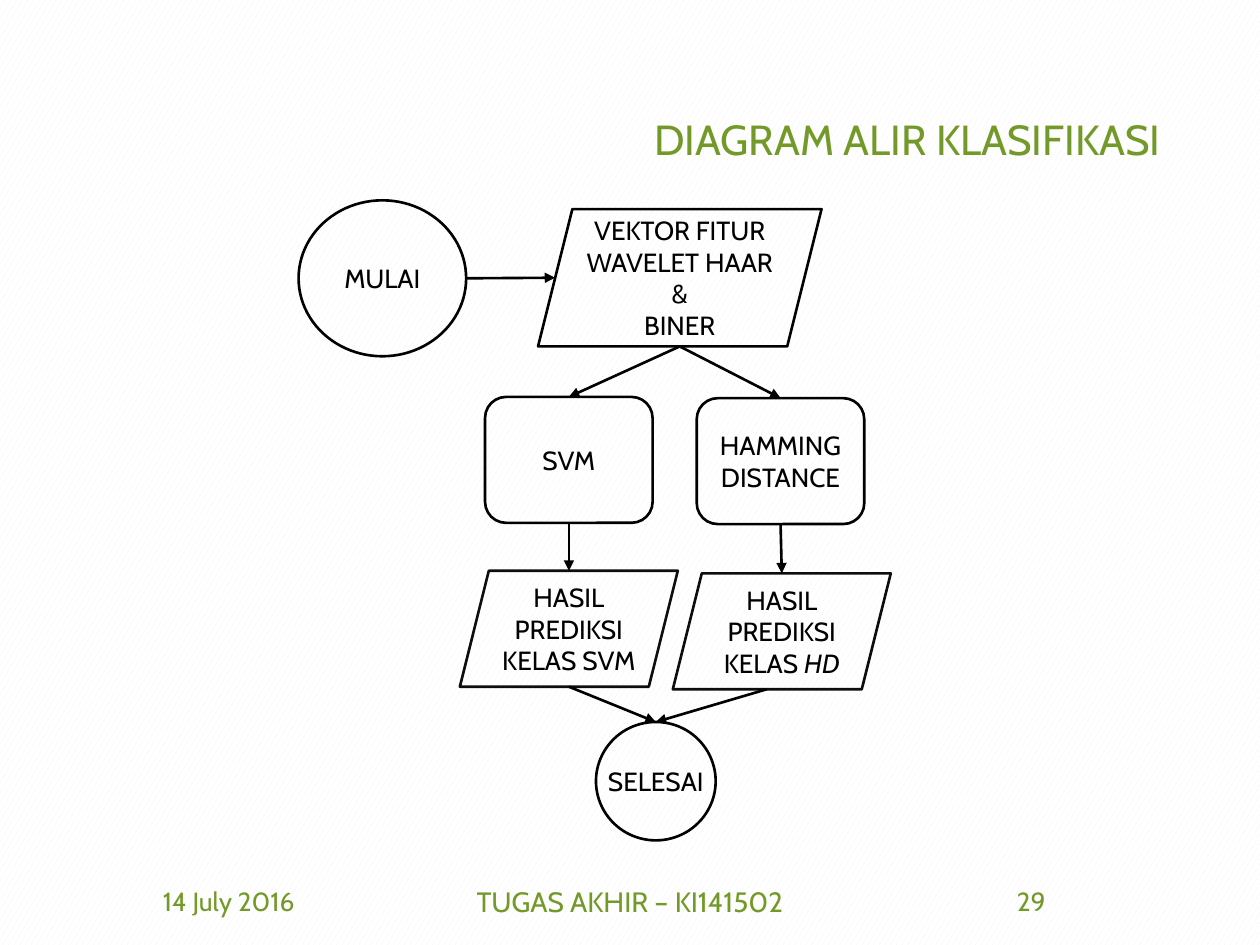
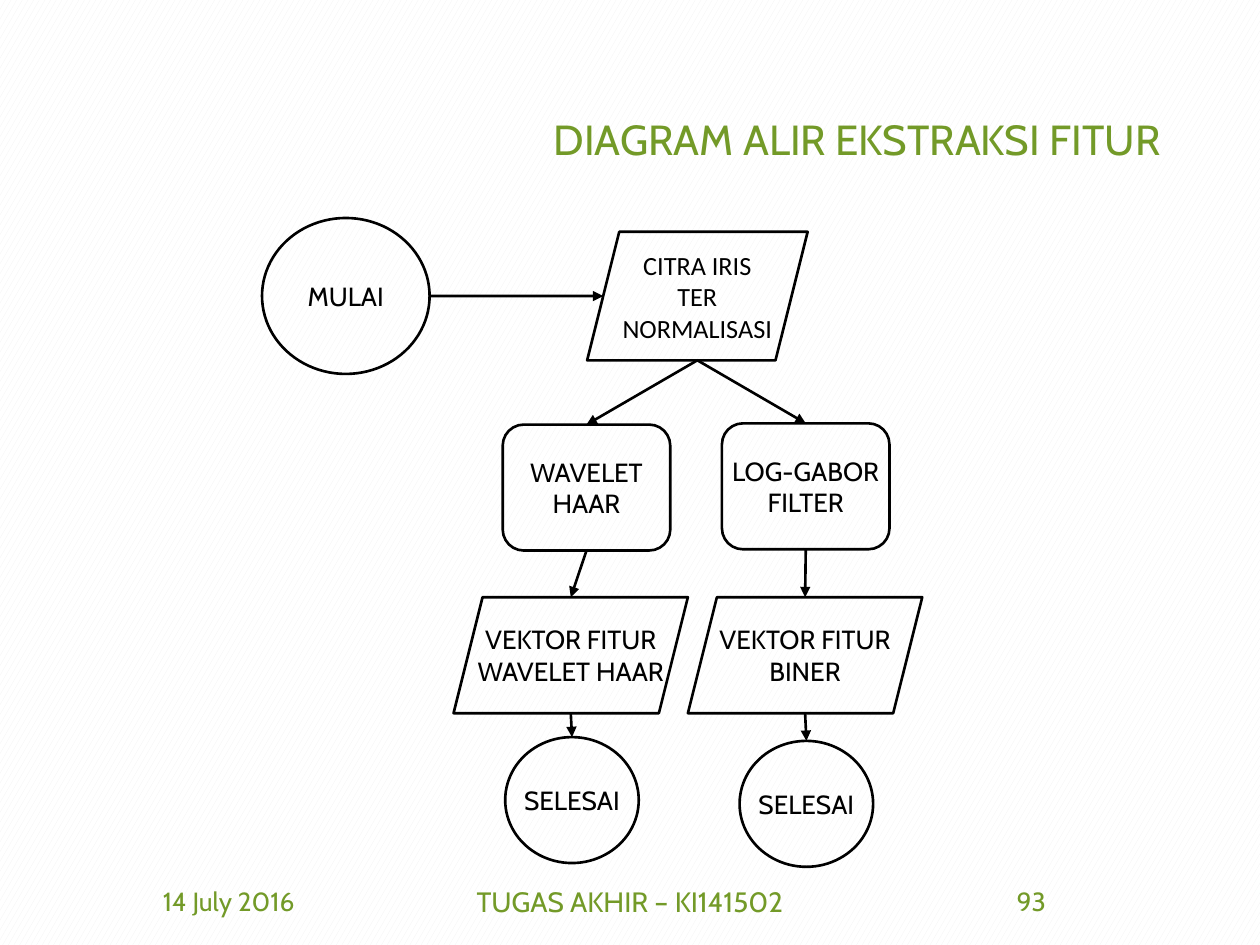
from lxml import etree
from pptx import Presentation
from pptx.dml.color import RGBColor
from pptx.enum.dml import MSO_PATTERN
from pptx.enum.shapes import MSO_CONNECTOR, MSO_SHAPE
from pptx.enum.text import MSO_ANCHOR, PP_ALIGN
from pptx.oxml.ns import qn
from pptx.util import Inches, Pt

OVAL, ROUND, SLANT = MSO_SHAPE.OVAL, MSO_SHAPE.ROUNDED_RECTANGLE, MSO_SHAPE.PARALLELOGRAM
CENTER, RIGHT, MIDDLE = PP_ALIGN.CENTER, PP_ALIGN.RIGHT, MSO_ANCHOR.MIDDLE
STRAIGHT = MSO_CONNECTOR.STRAIGHT
CONFETTI = MSO_PATTERN.LARGE_CONFETTI
TITLE_ONLY = 5

HEX = {"green": "739A28", "black": "000000", "soft": "0D0D0D",
       "dots": "F2F2F2", "white": "FFFFFF"}
RGB = {name: RGBColor.from_string(code) for name, code in HEX.items()}
FONT = "Cabin"

prs = Presentation()
prs.slide_width, prs.slide_height = Inches(10), Inches(7.5)
# One column and one row are a hundredth of the slide
COL, ROW = prs.slide_width / 100, prs.slide_height / 100

# Kind of node: shape, columns wide, rows high, line colour, font
KINDS = {
    "start": (OVAL, 13.3, 16.5, "black", FONT),
    "step": (ROUND, 13.3, 13.33, "black", FONT),
    "input": (SLANT, 22.5, 14.53, "black", FONT),
    "image": (SLANT, 17.5, 13.6, "black", "Calibri"),
    "class": (SLANT, 17.3, 12.27, "soft", FONT),
    "vector": (SLANT, 18.6, 12.27, "black", FONT),
    "stop": (OVAL, 9.5, 12.53, "black", FONT),
    "end": (OVAL, 10.6, 13.33, "black", FONT),
}

# Footer: left column, columns wide, size; the page number fills the last
FOOT = [(6.9, 22.5, 15, "14 July 2016"),
        (33.1, 33.8, 16, "TUGAS AKHIR – KI141502"),
        (70.6, 22.5, 15, None)]

# Node: kind, middle column, top row, lines (asterisks mark italics)
# Link: from, to, columns that its tail is shifted
CHARTS = [
    {"title": "DIAGRAM ALIR KLASIFIKASI", "page": "29",
     "nodes": {
         "mulai": ("start", 30.35, 21.2, ["MULAI"]),
         "fitur": ("input", 53.95, 22.13,
                   ["VEKTOR FITUR", "WAVELET HAAR", "&", "BINER"]),
         "svm": ("step", 45.15, 42, ["SVM"]),
         "hd": ("step", 61.95, 42.13, ["HAMMING", "DISTANCE"]),
         "svm out": ("class", 45.15, 60.4, ["HASIL", "PREDIKSI", "KELAS SVM"]),
         "hd out": ("class", 62.05, 60.67, ["HASIL", "PREDIKSI", "KELAS *HD*"]),
         "selesai": ("stop", 52.05, 76.4, ["SELESAI"])},
     "links": [("mulai", "fitur", 0), ("fitur", "svm", 0), ("fitur", "hd", 0),
               ("svm", "svm out", 0), ("hd", "hd out", 0),
               ("svm out", "selesai", 0), ("hd out", "selesai", -1.2)]},
    {"title": "DIAGRAM ALIR EKSTRAKSI FITUR", "page": "93",
     "nodes": {
         "mulai": ("start", 27.45, 23.07, ["MULAI"]),
         "citra": ("image", 55.35, 24.53, ["CITRA IRIS", "TER", "NORMALISASI"]),
         "haar": ("step", 46.55, 44.93, ["WAVELET", "HAAR"]),
         "gabor": ("step", 63.95, 44.8, ["LOG-GABOR", "FILTER"]),
         "haar out": ("vector", 45.3, 63.2, ["VEKTOR FITUR", "WAVELET HAAR"]),
         "gabor out": ("vector", 63.9, 63.2, ["VEKTOR FITUR", "BINER"]),
         "haar end": ("end", 45.4, 78, ["SELESAI"]),
         "gabor end": ("end", 64, 78.4, ["SELESAI"])},
     "links": [("mulai", "citra", 0), ("citra", "haar", 0), ("citra", "gabor", 0),
               ("haar", "haar out", 1.2 - 1.2), ("gabor", "gabor out", 0),
               ("haar out", "haar end", 0), ("gabor out", "gabor end", 0)]},
]


def write(frame, lines, size, color, font=FONT, align=CENTER):
    """Fill a frame with one paragraph a line; text between asterisks is italic."""
    frame.vertical_anchor = MIDDLE
    for i, line in enumerate(lines):
        para = frame.paragraphs[0] if i == 0 else frame.add_paragraph()
        para.alignment = align
        para.font.name, para.font.size = font, Pt(size)
        para.font.color.rgb = RGB[color]
        for j, part in enumerate(line.split("*")):
            if part:
                run = para.add_run()
                run.text = part
                if j % 2:
                    run.font.italic = True


def link(slide, tail, head, shift):
    """Draw an arrow: sideways from a start node, else from bottom to top."""
    if tail.auto_shape_type == OVAL:
        ends = (tail.left + tail.width, tail.top + tail.height / 2,
                head.left + head.height / 8, head.top + head.height / 2)
    else:
        ends = (tail.left + tail.width / 2 + shift * COL, tail.top + tail.height,
                head.left + head.width / 2, head.top)
    arrow = slide.shapes.add_connector(STRAIGHT, *map(int, ends))
    arrow.line.color.rgb, arrow.line.width = RGB["black"], Pt(1.5)
    etree.SubElement(arrow.line._get_or_add_ln(), qn("a:tailEnd"), type="triangle")
    etree.SubElement(arrow._element.spPr, qn("a:effectLst"))


back = prs.slide_master.background.fill
back.patterned()
back.pattern = CONFETTI
back.fore_color.rgb, back.back_color.rgb = RGB["dots"], RGB["white"]

for chart in CHARTS:
    slide = prs.slides.add_slide(prs.slide_layouts[TITLE_ONLY])
    title = slide.shapes.title
    title.left, title.top = int(6.9 * COL), int(5.33 * ROW)
    title.width, title.height = int(86.2 * COL), int(19.33 * ROW)
    write(title.text_frame, [chart["title"]], 24, "green", align=RIGHT)
    title.text_frame.paragraphs[0].line_spacing = 0.9

    for left, wide, size, text in FOOT:
        box = slide.shapes.add_textbox(int(left * COL), int(92.67 * ROW),
                                       int(wide * COL), int(5.33 * ROW))
        box.text_frame.word_wrap = True
        write(box.text_frame, [text or chart["page"]], size, "green")

    nodes = {}
    for name, (kind, mid, top, lines) in chart["nodes"].items():
        form, wide, high, ink, font = KINDS[kind]
        node = slide.shapes.add_shape(form, int((mid - wide / 2) * COL), int(top * ROW),
                                      int(wide * COL), int(high * ROW))
        node.shadow.inherit = False
        node.fill.background()
        node.line.color.rgb, node.line.width = RGB[ink], Pt(1.5)
        node.text_frame.word_wrap = False
        write(node.text_frame, lines, 15, "black", font)
        nodes[name] = node

    for tail, head, shift in chart["links"]:
        link(slide, nodes[tail], nodes[head], shift)

prs.save("out.pptx")
